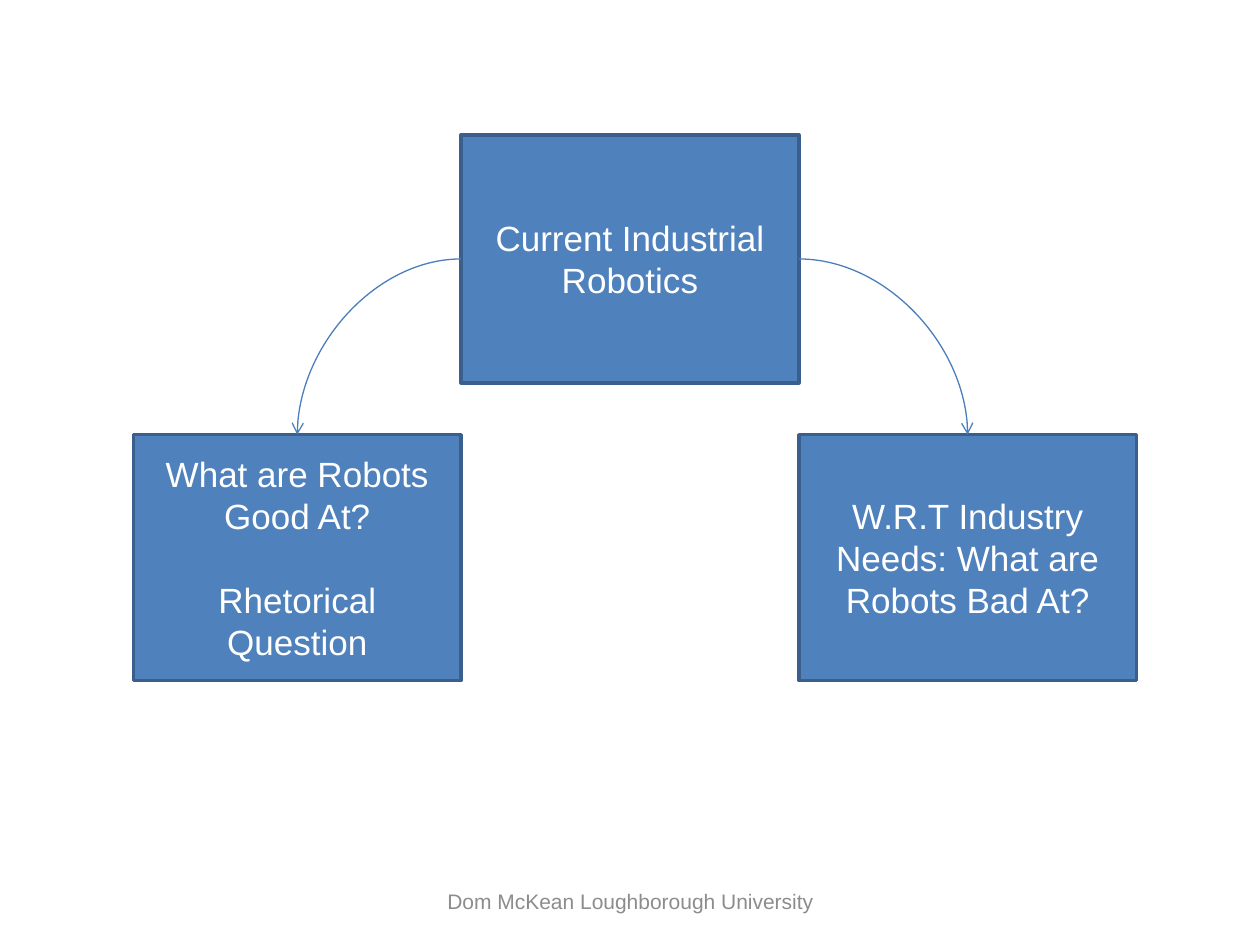
import pptx
import pptx.util
import pptx.dml.color
import pptx.enum.shapes
import pptx.enum.text
import pptx.oxml
import pptx.oxml.ns

Inches = pptx.util.Inches
Pt = pptx.util.Pt
RGBColor = pptx.dml.color.RGBColor

WHITE = RGBColor(0xFF, 0xFF, 0xFF)
BOX_FILL = RGBColor(0x4F, 0x81, 0xBD)
BOX_EDGE = RGBColor(0x3A, 0x5F, 0x8C)
ARROW_BLUE = RGBColor(0x4B, 0x7E, 0xBC)
FOOTER_GREY = RGBColor(0x8C, 0x8C, 0x8C)
FONT = "Arial"
TOP, LEFT, RIGHT = 0, 1, 3


def write_centred(frame, lines, size, color, gap=0):
    frame.word_wrap = True
    frame.vertical_anchor = pptx.enum.text.MSO_ANCHOR.MIDDLE
    for index, line in enumerate(lines):
        paragraph = frame.add_paragraph() if index else frame.paragraphs[0]
        paragraph.alignment = pptx.enum.text.PP_ALIGN.CENTER
        if index:
            paragraph.space_before = Pt(gap)
        run = paragraph.add_run()
        run.text = line
        run.font.name = FONT
        run.font.size = Pt(size)
        run.font.color.rgb = color


def add_topic(slide, left, top, width, height, *lines):
    topic = slide.shapes.add_shape(
        pptx.enum.shapes.MSO_SHAPE.RECTANGLE,
        Inches(left), Inches(top), Inches(width), Inches(height))
    topic.shadow.inherit = False
    topic.fill.solid()
    topic.fill.fore_color.rgb = BOX_FILL
    topic.line.color.rgb = BOX_EDGE
    topic.line.width = Pt(2)
    write_centred(topic.text_frame, lines, 20, WHITE, gap=24)
    return topic


def add_curved_arrow(slide, parent, side, child):
    arrow = slide.shapes.add_connector(
        pptx.enum.shapes.MSO_CONNECTOR.CURVE, 0, 0, 0, 0)
    arrow.begin_connect(parent, side)
    arrow.end_connect(child, TOP)
    arrow.line.color.rgb = ARROW_BLUE
    arrow.line.width = Pt(0.75)
    qn = pptx.oxml.ns.qn
    properties = arrow.element.spPr
    properties.find(qn("a:prstGeom")).set("prst", "curvedConnector2")
    head = pptx.oxml.parse_xml(
        f'<a:tailEnd {pptx.oxml.ns.nsdecls("a")} type="arrow"/>')
    properties.find(qn("a:ln")).append(head)
    properties.append(pptx.oxml.parse_xml(
        f'<a:effectLst {pptx.oxml.ns.nsdecls("a")}/>'))


def add_footer(slide, text):
    footer = slide.shapes.add_textbox(
        Inches(3.42), Inches(6.95), Inches(3.17), Inches(0.4))
    write_centred(footer.text_frame, [text], 12, FOOTER_GREY)


def main():
    presentation = pptx.Presentation()
    presentation.slide_width = Inches(10)
    presentation.slide_height = Inches(7.5)
    slide = presentation.slides.add_slide(presentation.slide_layouts[6])

    robotics = add_topic(slide, 3.66, 1.07, 2.68, 1.97,
                         "Current Industrial Robotics")
    strengths = add_topic(slide, 1.06, 3.45, 2.6, 1.95,
                          "What are Robots Good At?", "Rhetorical Question")
    weaknesses = add_topic(slide, 6.34, 3.45, 2.68, 1.95,
                           "W.R.T Industry Needs: What are Robots Bad At?")
    add_curved_arrow(slide, robotics, RIGHT, weaknesses)
    add_curved_arrow(slide, robotics, LEFT, strengths)
    add_footer(slide, "Dom McKean Loughborough University")

    presentation.save("out.pptx")


if __name__ == "__main__":
    main()
